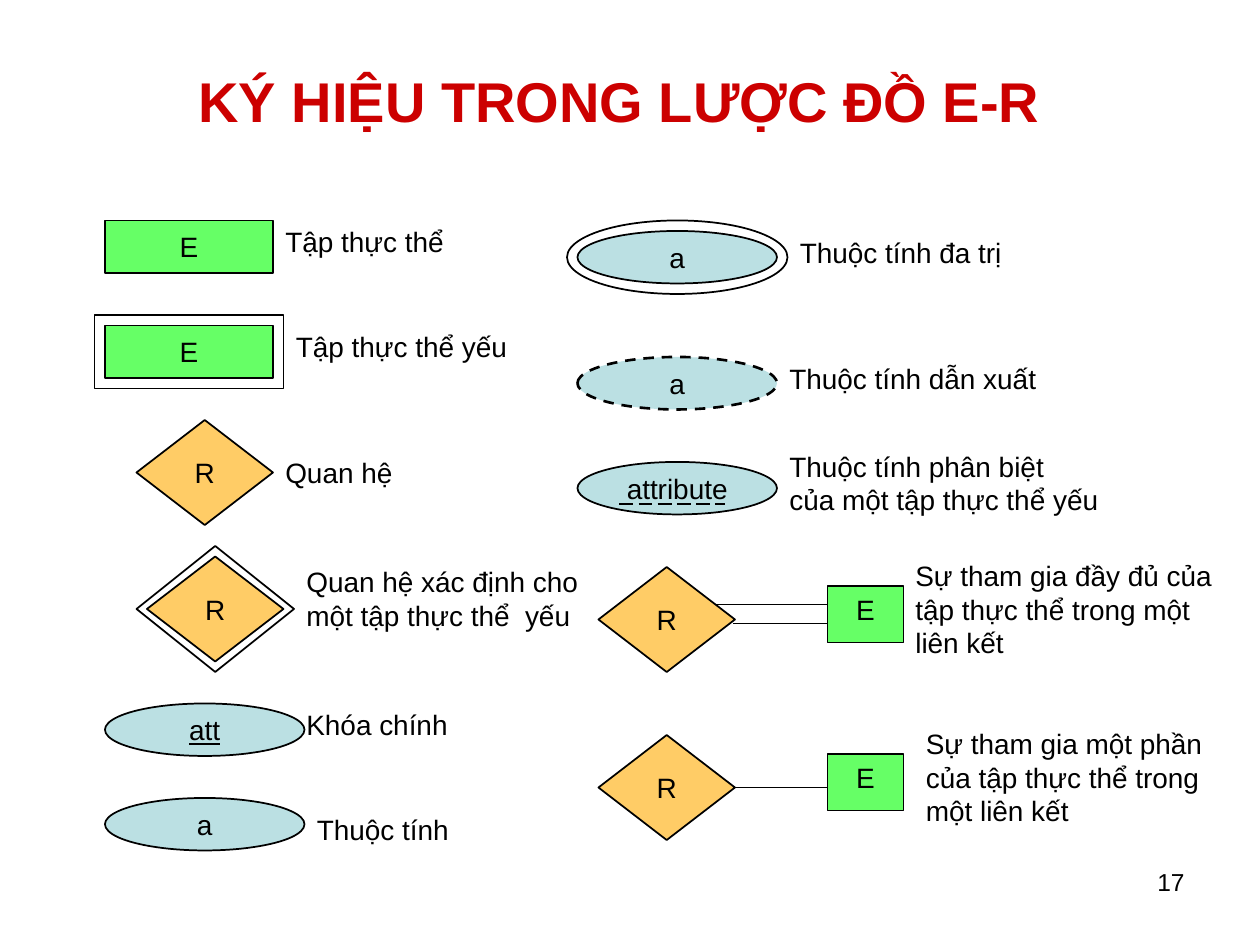
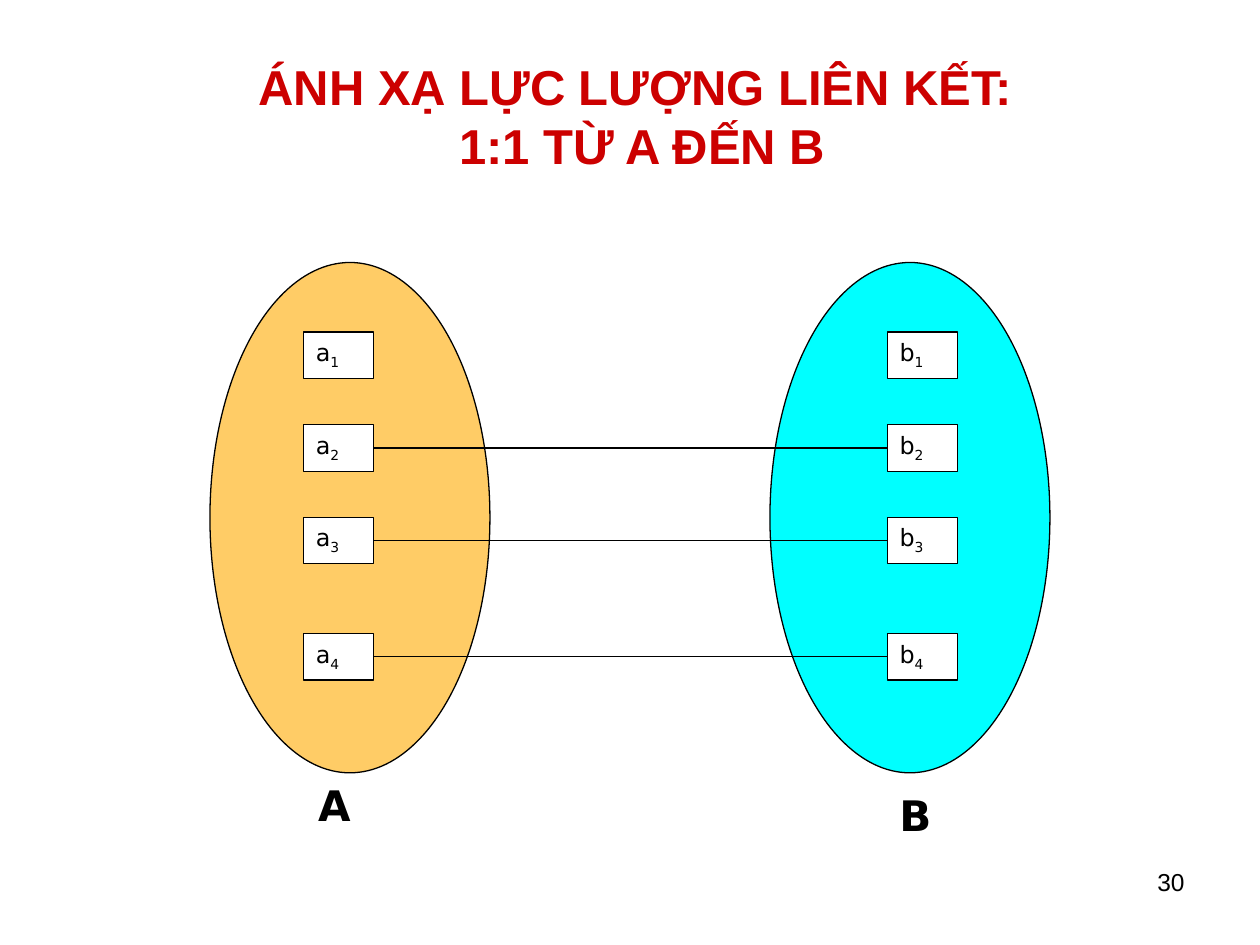
from dataclasses import dataclass

from lxml.etree import SubElement
from pptx import Presentation
from pptx.dml.color import RGBColor
from pptx.enum.dml import MSO_LINE
from pptx.enum.shapes import MSO_CONNECTOR, MSO_SHAPE
from pptx.enum.text import MSO_ANCHOR, MSO_AUTO_SIZE, PP_ALIGN
from pptx.oxml.ns import qn
from pptx.util import Pt


@dataclass(frozen=True)
class Theme:
    font: str = "Arial"
    set_font: str = "DejaVu Sans"
    title: str = "CC0000"
    ink: str = "000000"
    paper: str = "FFFFFF"
    entity: str = "66FF66"
    relation: str = "FFCC66"
    attribute: str = "BBE0E3"
    target_set: str = "00FFFF"
    symbol_size: float = 16
    number_size: float = 14
    member_size: float = 13.6
    set_size: float = 24
    thin: float = 0.75
    medium: float = 1
    thick: float = 1.5


THEME = Theme()

NOTATION = {
    "title": ["KÝ HIỆU TRONG LƯỢC ĐỒ E-R"],
    "title_size": 32,
    "title_box": (30, 12, 648, 90),
    "number": "17",
}
MAPPING = {
    "title": ["ÁNH XẠ LỰC LƯỢNG LIÊN KẾT:", " 1:1 TỪ A ĐẾN B"],
    "title_size": 28,
    "title_box": (12, 18, 702, 96),
    "number": "30",
}

KINDS = {
    "entity": (MSO_SHAPE.RECTANGLE, THEME.entity, 96, 30),
    "relation": (MSO_SHAPE.DIAMOND, THEME.relation, 78, 60),
    "attribute": (MSO_SHAPE.OVAL, THEME.attribute, 114, 30),
}
SYMBOLS = [
    ("entity", "E", (60, 126), "", ["Tập thực thể"], (156, 126)),
    ("entity", "E", (60, 186), "double", ["Tập thực thể yếu"], (162, 186)),
    ("relation", "R", (78, 240), "", ["Quan hệ"], (156, 258)),
    ("relation", "R", (84, 318), "double",
     ["Quan hệ xác định cho", "một tập thực thể  yếu"], (168, 330)),
    ("attribute", "att", (60, 402), "key", ["Khóa chính"], (168, 402)),
    ("attribute", "a", (60, 456), "", ["Thuộc tính"], (174, 462)),
    ("attribute", "a", (330, 132), "double", ["Thuộc tính đa trị"], (450, 132)),
    ("attribute", "a", (330, 204), "dashed", ["Thuộc tính dẫn xuất"], (444, 204)),
    ("attribute", "attribute", (330, 264), "partial key",
     ["Thuộc tính phân biệt", "của một tập thực thể yếu"], (444, 264)),
    ("relation", "R", (342, 324), "total",
     ["Sự tham gia đầy đủ của", "tập thực thể trong một", "liên kết"], (516, 336)),
    ("relation", "R", (342, 420), "partial",
     ["Sự tham gia một phần", "của tập thực thể trong", "một liên kết"], (522, 432)),
]
LABEL_SIZE = (108, 24)
OUTLINE_GAP = 6
PARTICIPANT_LEFT = 473
PARTICIPANT_SIZE = (43.2, 32.4)
PARTICIPATION_LINES = {
    "total": [(408, 21.6), (419, 32.4)],
    "partial": [(419, 30)],
}

SETS = [
    ("A", "a", THEME.relation, 120, 173.4, (173.5, 445)),
    ("B", "b", THEME.target_set, 440, 507, (505.5, 450.7)),
]
SET_TOP, SET_SIZE = 150, (160, 291.6)
MEMBER_TOPS = [189.8, 242.8, 295.6, 362]
MEMBER_SIZE = (40, 26.6)
LINKED_MEMBERS = [2, 3, 4]


def color(value):
    return RGBColor.from_string(value)


def add_run(paragraph, text, size, font=THEME.font, ink=THEME.ink, bold=False):
    run = paragraph.add_run()
    run.text = text
    run.font.name = font
    run.font.size = Pt(size)
    run.font.bold = bold
    run.font.color.rgb = color(ink)
    return run


def format_frame(shape, anchor=MSO_ANCHOR.MIDDLE, wrap=False):
    frame = shape.text_frame
    frame.auto_size = MSO_AUTO_SIZE.NONE
    frame.word_wrap = wrap
    frame.vertical_anchor = anchor
    return frame


def add_text(slide, box, lines, size, align=PP_ALIGN.LEFT,
             anchor=MSO_ANCHOR.MIDDLE, wrap=False, **style):
    frame = format_frame(slide.shapes.add_textbox(*map(Pt, box)), anchor, wrap)
    for index, line in enumerate(lines):
        paragraph = frame.add_paragraph() if index else frame.paragraphs[0]
        paragraph.alignment = align
        add_run(paragraph, line, size, **style)


def add_figure(slide, preset, box, fill, width=THEME.medium):
    shape = slide.shapes.add_shape(preset, *map(Pt, box))
    shape.shadow.inherit = False
    shape.fill.solid()
    shape.fill.fore_color.rgb = color(fill)
    shape.line.color.rgb = color(THEME.ink)
    shape.line.width = Pt(width)
    return shape


def add_symbol_text(shape, text, anchor=MSO_ANCHOR.MIDDLE):
    paragraph = format_frame(shape, anchor).paragraphs[0]
    paragraph.alignment = PP_ALIGN.CENTER
    return add_run(paragraph, text, THEME.symbol_size)


def add_level_line(slide, start, end, y, width=THEME.thin):
    connector = slide.shapes.add_connector(
        MSO_CONNECTOR.STRAIGHT, Pt(start), Pt(y), Pt(end), Pt(y))
    connector.line.color.rgb = color(THEME.ink)
    connector.line.width = Pt(width)
    SubElement(connector._element.spPr, qn("a:effectLst"))
    return connector


def add_base_slide(presentation, content):
    slide = presentation.slides.add_slide(presentation.slide_layouts[5])
    title = slide.shapes.title
    title.left, title.top, title.width, title.height = map(Pt, content["title_box"])
    paragraph = format_frame(title, wrap=True).paragraphs[0]
    paragraph.alignment = PP_ALIGN.CENTER
    for index, line in enumerate(content["title"]):
        if index:
            paragraph.add_line_break()
        add_run(paragraph, line, content["title_size"], ink=THEME.title, bold=True)
    add_text(slide, (516, 492, 168, 37.4), [content["number"]], THEME.number_size,
             align=PP_ALIGN.RIGHT, anchor=MSO_ANCHOR.TOP, wrap=True)
    return slide


def add_participation(slide, top, variant):
    participant = add_figure(
        slide, MSO_SHAPE.RECTANGLE,
        (PARTICIPANT_LEFT, top + 10.8, *PARTICIPANT_SIZE), THEME.entity, THEME.thin)
    add_symbol_text(participant, "E", MSO_ANCHOR.TOP)
    for start, offset in PARTICIPATION_LINES[variant]:
        add_level_line(slide, start, PARTICIPANT_LEFT, top + offset)


def add_symbol(slide, kind, text, position, variant, label, label_position):
    preset, fill, width, height = KINDS[kind]
    left, top = position
    if variant == "double":
        add_figure(slide, preset,
                   (left - OUTLINE_GAP, top - OUTLINE_GAP,
                    width + 2 * OUTLINE_GAP, height + 2 * OUTLINE_GAP), THEME.paper)
    if variant in PARTICIPATION_LINES:
        add_participation(slide, top, variant)
    shape = add_figure(slide, preset, (left, top, width, height), fill)
    run = add_symbol_text(shape, text)
    if variant == "key":
        run.font.underline = True
    elif variant == "dashed":
        shape.line.width = Pt(THEME.thick)
        shape.line.dash_style = MSO_LINE.DASH
    elif variant == "partial key":
        underline = add_level_line(slide, left + 24, left + 84, top + 24, THEME.medium)
        underline.line.dash_style = MSO_LINE.LONG_DASH
    add_text(slide, (*label_position, *LABEL_SIZE), label, THEME.symbol_size)


def add_member(slide, letter, number, left, top):
    shape = add_figure(slide, MSO_SHAPE.RECTANGLE, (left, top, *MEMBER_SIZE),
                       THEME.paper, THEME.thin)
    paragraph = format_frame(shape, MSO_ANCHOR.TOP, wrap=True).paragraphs[0]
    paragraph.alignment = PP_ALIGN.LEFT
    paragraph.line_spacing = 0.9
    add_run(paragraph, letter, THEME.member_size, THEME.set_font)
    subscript = add_run(paragraph, str(number), THEME.member_size, THEME.set_font)
    subscript._r.get_or_add_rPr().set("baseline", "-25000")


def build_notation(presentation):
    slide = add_base_slide(presentation, NOTATION)
    for symbol in SYMBOLS:
        add_symbol(slide, *symbol)


def build_mapping(presentation):
    slide = add_base_slide(presentation, MAPPING)
    for name, letter, fill, left, member_left, name_position in SETS:
        add_figure(slide, MSO_SHAPE.OVAL, (left, SET_TOP, *SET_SIZE), fill, THEME.thin)
        for number, top in enumerate(MEMBER_TOPS, 1):
            add_member(slide, letter, number, member_left, top)
        add_text(slide, (*name_position, 35, 29.5), [name], THEME.set_size,
                 align=PP_ALIGN.CENTER, font=THEME.set_font, bold=True)
    start, end = SETS[0][4] + MEMBER_SIZE[0], SETS[1][4]
    for number in LINKED_MEMBERS:
        add_level_line(slide, start, end, MEMBER_TOPS[number - 1] + MEMBER_SIZE[1] / 2)


def main():
    presentation = Presentation()
    presentation.slide_width, presentation.slide_height = Pt(720), Pt(540)
    build_notation(presentation)
    build_mapping(presentation)
    presentation.save("out.pptx")


if __name__ == "__main__":
    main()
